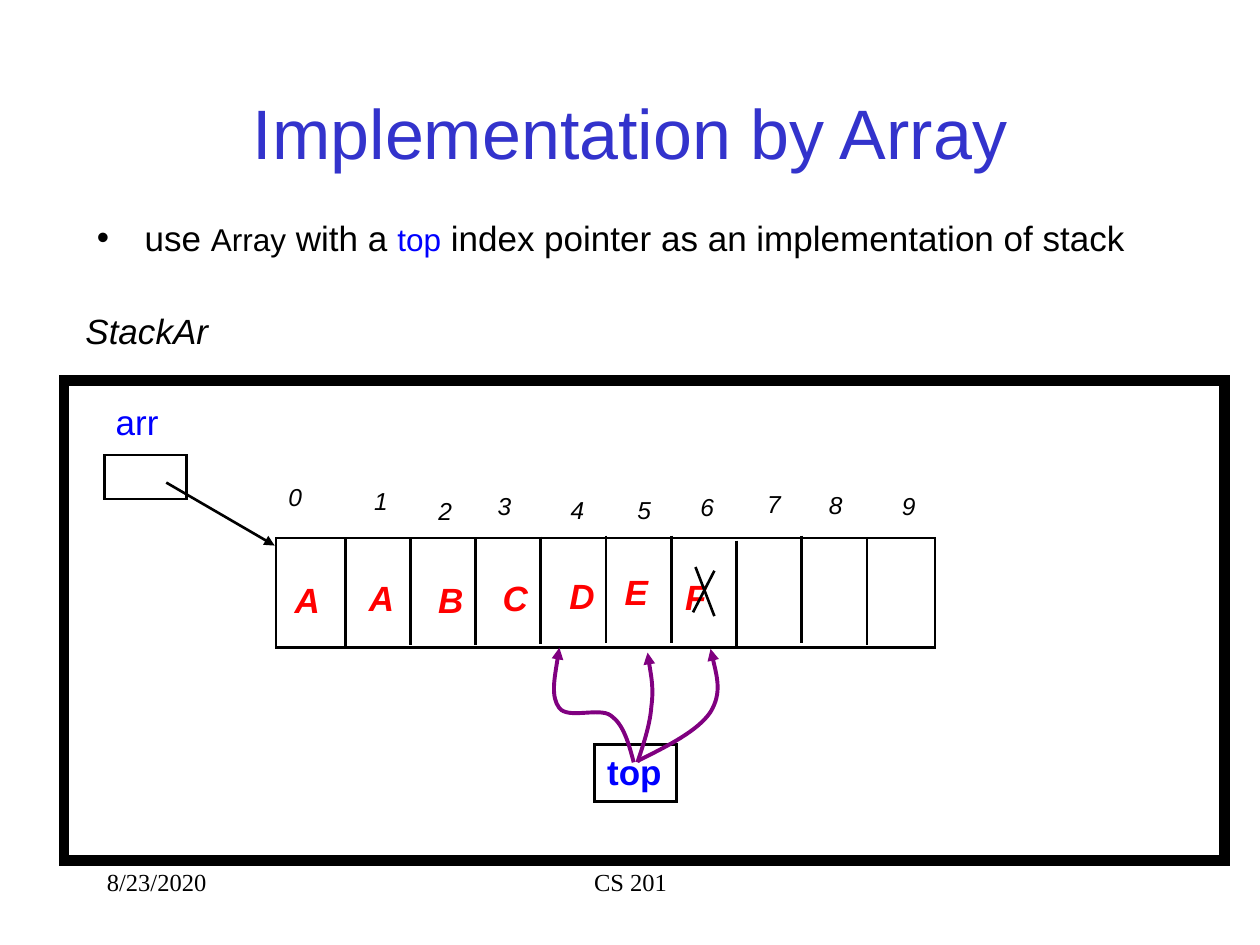
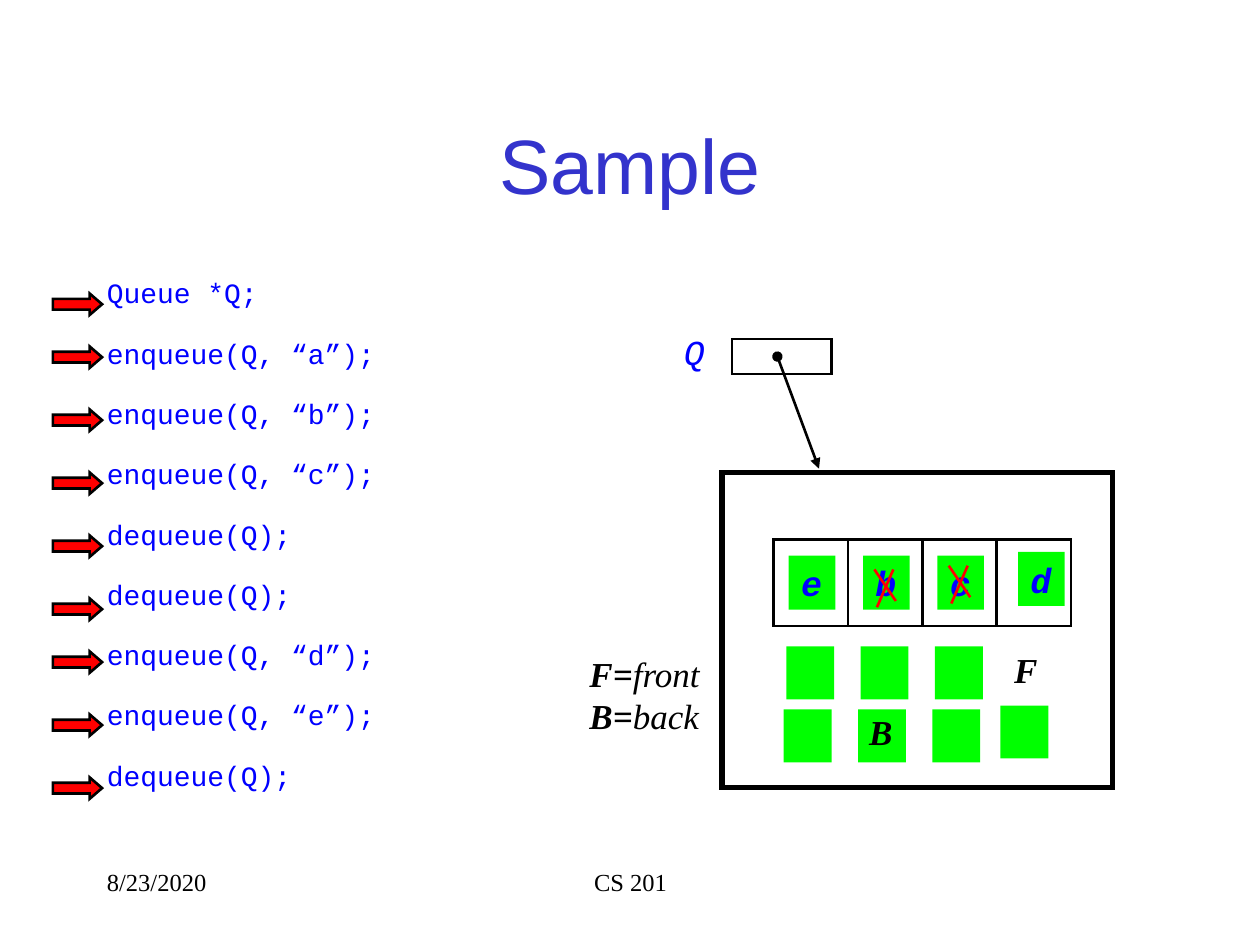
from dataclasses import dataclass, replace

from lxml import etree
from pptx import Presentation
from pptx.dml.color import RGBColor
from pptx.enum.shapes import MSO_CONNECTOR, MSO_SHAPE
from pptx.enum.text import MSO_ANCHOR, PP_ALIGN
from pptx.oxml.ns import qn
from pptx.util import Inches, Pt

RECT = MSO_SHAPE.RECTANGLE
ARROW = MSO_SHAPE.RIGHT_ARROW
LINE = MSO_CONNECTOR.STRAIGHT
LEFT, MID = PP_ALIGN.LEFT, PP_ALIGN.CENTER
TOP, CENTER = MSO_ANCHOR.TOP, MSO_ANCHOR.MIDDLE


@dataclass(frozen=True)
class Type:
    """Look of a run of text."""
    size: float
    color: str = "000000"
    font: str = "Arial"
    bold: bool = False
    slant: bool = False


@dataclass(frozen=True)
class Theme:
    """Colours, line widths and type styles of the deck."""
    black: str = "000000"
    red: str = "FF0000"
    green: str = "00FF00"
    purple: str = "800080"
    thin: float = 1.5
    curve: float = 2.25
    title: Type = Type(40, "3333CC")
    foot: Type = Type(14, font="Times New Roman")
    body: Type = Type(20)
    small: Type = Type(18)
    name: Type = Type(20, "0000FF")
    index: Type = Type(14, slant=True)
    item: Type = Type(20, "FF0000", bold=True, slant=True)
    code: Type = Type(16, "0000FF", "Courier New")
    node: Type = Type(20, "0000FF", "Courier New", True, True)
    mark: Type = Type(20, font="Times New Roman", bold=True, slant=True)


THEME = Theme()


@dataclass(frozen=True)
class Box:
    """Left, top, width and height in inches."""
    x: float
    y: float
    w: float
    h: float

    def lengths(self):
        """Give the four values as lengths."""
        return [Inches(v) for v in (self.x, self.y, self.w, self.h)]


@dataclass(frozen=True)
class Label:
    """A short text and its top left corner."""
    text: str
    x: float
    y: float


def color(code: str) -> RGBColor:
    """Turn a hex code into a colour."""
    return RGBColor.from_string(code)


def fill_text(shape, paras, align=LEFT, anchor=TOP, wrap=False):
    """Write paragraphs, each a list of (text, type) runs."""
    frame = shape.text_frame
    frame.word_wrap = wrap
    frame.vertical_anchor = anchor
    for i, runs in enumerate(paras):
        para = frame.add_paragraph() if i else frame.paragraphs[0]
        para.alignment = align
        for text, kind in runs:
            run = para.add_run()
            run.text = text
            font = run.font
            font.name, font.size = kind.font, Pt(kind.size)
            font.bold, font.italic = kind.bold, kind.slant
            font.color.rgb = color(kind.color)
    return frame


def add_text(slide, box: Box, paras, **opts):
    """Add a text box and give back its frame."""
    return fill_text(slide.shapes.add_textbox(*box.lengths()), paras, **opts)


def add_label(slide, label: Label, kind: Type, w=0.4, h=0.43):
    """Add a text box with a single run."""
    add_text(slide, Box(label.x, label.y, w, h), [[(label.text, kind)]])


def add_box(slide, box: Box, fill=None, width=0.0, kind=RECT):
    """Add a preset shape, with sharp black edge if a width is given."""
    shape = slide.shapes.add_shape(kind, *box.lengths())
    shape.shadow.inherit = False
    if fill:
        shape.fill.solid()
        shape.fill.fore_color.rgb = color(fill)
    else:
        shape.fill.background()
    if width:
        shape.line.color.rgb = color(THEME.black)
        shape.line.width = Pt(width)
        edge = shape.element.spPr.find(qn("a:ln"))
        etree.SubElement(edge, qn("a:miter"), lim="800000")
    else:
        shape.line.fill.background()
    return shape


def add_ends(shape, head="", tail=""):
    """Put arrowheads on the ends of a line."""
    edge = shape.element.spPr.find(qn("a:ln"))
    for tag, kind in (("a:headEnd", head), ("a:tailEnd", tail)):
        if kind:
            etree.SubElement(edge, qn(tag), type=kind)


def add_line(slide, start, end, tint=THEME.black, head="", tail=""):
    """Draw a straight line between two points."""
    line = slide.shapes.add_connector(
        LINE, *[Inches(v) for v in (*start, *end)])
    line.line.color.rgb = color(tint)
    line.line.width = Pt(THEME.thin)
    add_ends(line, head, tail)
    etree.SubElement(line.element.spPr, qn("a:effectLst"))


def add_curve(slide, points):
    """Draw an arrow of cubic curves: a start, then three points each."""
    spots = [(Inches(x), Inches(y)) for x, y in points]
    pen = slide.shapes.build_freeform(*spots[0])
    pen.add_line_segments(spots[1:], close=False)
    shape = pen.convert_to_shape()
    shape.shadow.inherit = False
    shape.fill.background()
    shape.line.color.rgb = color(THEME.purple)
    shape.line.width = Pt(THEME.curve)
    add_ends(shape, tail="triangle")
    steps = list(shape.element.iter(qn("a:lnTo")))
    for i in range(0, len(steps), 3):
        bend = etree.Element(qn("a:cubicBezTo"))
        steps[i].addprevious(bend)
        for step in steps[i:i + 3]:
            bend.append(step[0])
            step.getparent().remove(step)


def add_slide(deck, title: str, top: float, size: float):
    """Start a slide with its title and footers."""
    slide = deck.slides.add_slide(deck.slide_layouts[6])
    add_text(slide, Box(0.75, 6.83, 2.08, 0.5),
             [[("8/23/2020", THEME.foot)]], wrap=True)
    add_text(slide, Box(3.42, 6.83, 3.17, 0.5),
             [[("CS 201", THEME.foot)]], align=MID, wrap=True)
    add_text(slide, Box(0.75, top, 8.5, 1.25),
             [[(title, replace(THEME.title, size=size))]],
             align=MID, anchor=CENTER, wrap=True)
    return slide


def draw_stack(deck):
    """Build the slide on a stack held in an array."""
    slide = add_slide(deck, "Implementation by Array", 0.42, 40)
    body, small = THEME.body, THEME.small
    frame = add_text(slide, Box(0.67, 1.67, 8.5, 4.5), [[
        ("use ", body), ("Array", small), (" with a ", body),
        ("top", replace(small, color=THEME.name.color)),
        (" index pointer as an implementation of stack", body)]], wrap=True)
    props = frame.paragraphs[0]._p.get_or_add_pPr()
    props.set("marL", str(Inches(0.38)))
    props.set("indent", str(-Inches(0.38)))
    etree.SubElement(props, qn("a:buFont"), typeface=body.font)
    etree.SubElement(props, qn("a:buChar"), char="•")

    add_box(slide, Box(2.19, 4.27, 5.23, 0.87), width=THEME.thin)
    tops = (4.28, 4.27, 4.27, 4.26, 4.25, 4.25, 4.29, 4.25, 4.27)
    for i, top in enumerate(tops):
        x = 2.74 + i * 4.14 / 8
        add_line(slide, (x, top), (x, top + 0.85))

    spots = ((2.19, 3.78), (2.87, 3.81), (3.38, 3.89), (3.85, 3.85),
             (4.43, 3.88), (4.96, 3.88), (5.46, 3.86), (5.99, 3.83),
             (6.48, 3.84), (7.06, 3.85))
    for i, spot in enumerate(spots):
        add_label(slide, Label(str(i), *spot), THEME.index, 0.31, 0.33)
    items = (Label("A", 2.24, 4.54), Label("A", 2.83, 4.53),
             Label("B", 3.38, 4.54), Label("C", 3.89, 4.53),
             Label("D", 4.42, 4.51), Label("E", 4.86, 4.48),
             Label("F", 5.34, 4.52))
    for item in items:
        add_label(slide, item, THEME.item)

    add_box(slide, Box(0.51, 3.02, 9.21, 3.81), width=6)
    add_label(slide, Label("StackAr", 0.58, 2.41),
              replace(body, slant=True), 1.3)
    add_label(slide, Label("arr", 0.82, 3.13), THEME.name, 0.56)
    add_box(slide, Box(0.83, 3.61, 0.65, 0.35), width=THEME.thin)
    add_line(slide, (1.32, 3.83), (2.18, 4.33), tail="triangle")

    top = add_box(slide, Box(4.72, 5.91, 0.65, 0.45), width=THEME.thin)
    fill_text(top, [[("top", replace(THEME.name, bold=True))]])
    curves = (
        ((5.03, 6.05), (4.99, 5.9), (4.95, 5.75), (4.85, 5.68),
         (4.76, 5.61), (4.51, 5.71), (4.44, 5.62),
         (4.37, 5.53), (4.41, 5.33), (4.44, 5.14)),
        ((5.06, 6.04), (5.3, 5.92), (5.54, 5.8), (5.64, 5.65),
         (5.73, 5.5), (5.68, 5.32), (5.64, 5.15)),
        ((5.06, 6.05), (5.11, 5.9), (5.16, 5.75), (5.17, 5.61),
         (5.19, 5.46), (5.16, 5.32), (5.14, 5.18)))
    for curve in curves:
        add_curve(slide, curve)
    add_line(slide, (5.52, 4.5), (5.67, 4.89))
    add_line(slide, (5.67, 4.53), (5.5, 4.86))


def draw_queue(deck):
    """Build the slide that runs a sample queue."""
    slide = add_slide(deck, "Sample", 0.67, 44)
    calls = ("Queue *Q;", "enqueue(Q, “a”);", "enqueue(Q, “b”);",
             "enqueue(Q, “c”);", "dequeue(Q);", "dequeue(Q);",
             "enqueue(Q, “d”);", "enqueue(Q, “e”);", "dequeue(Q);")
    frame = add_text(slide, Box(0.75, 2.17, 8.5, 4.5),
                     [[(call, THEME.code)] for call in calls], wrap=True)
    for para in frame.paragraphs:
        para.line_spacing = 0.9
        para.space_after = Pt(17.2)
    for y in (2.33, 2.75, 3.25, 3.75, 4.25, 4.75, 5.17, 5.67, 6.17):
        arrow = add_box(slide, Box(0.42, y, 0.39, 0.17),
                        THEME.red, THEME.thin, ARROW)
        arrow.adjustments[0], arrow.adjustments[1] = 0.5, 0.58

    add_label(slide, Label("Q", 5.33, 2.57),
              replace(THEME.node, bold=False), 0.37)
    add_box(slide, Box(5.81, 2.69, 0.79, 0.28), width=THEME.thin)
    light = replace(THEME.mark, bold=False)
    add_text(slide, Box(4.58, 5.13, 1.15, 0.77),
             [[("F=", THEME.mark), ("front", light)],
              [("B=", THEME.mark), ("back", light)]])

    add_box(slide, Box(6.14, 4.28, 2.36, 0.69), width=THEME.thin)
    for i in range(1, 4):
        x = 6.14 + i * 0.59
        add_line(slide, (x, 4.28), (x, 4.97))
    add_box(slide, Box(5.73, 3.75, 3.1, 2.5), width=3)
    add_line(slide, (6.17, 2.83), (6.5, 3.72), head="oval", tail="triangle")

    nodes = (Label("e", 6.26, 4.41), Label("b", 6.85, 4.41),
             Label("c", 7.44, 4.41), Label("d", 8.08, 4.38))
    for node in nodes:
        tile = add_box(slide, Box(node.x, node.y, 0.37, 0.43), THEME.green)
        fill_text(tile, [[(node.text, THEME.node)]])
    tiles = [(left + i * 0.59, y) for left, y in ((6.24, 5.13), (6.22, 5.63))
             for i in range(3)]
    for x, y in (*tiles, (7.94, 5.6)):
        add_box(slide, Box(x, y, 0.38, 0.42), THEME.green)
    for mark in (Label("F", 7.95, 5.1), Label("B", 6.8, 5.59)):
        add_label(slide, mark, THEME.mark, 0.39)
    for x, y in ((6.94, 4.52), (7.53, 4.49)):
        add_line(slide, (x + 0.15, y), (x + 0.02, y + 0.3), THEME.red)
        add_line(slide, (x, y), (x + 0.17, y + 0.25), THEME.red)


def main():
    """Build both slides and save the deck."""
    deck = Presentation()
    deck.slide_width, deck.slide_height = Inches(10), Inches(7.5)
    draw_stack(deck)
    draw_queue(deck)
    deck.save("out.pptx")


main()
